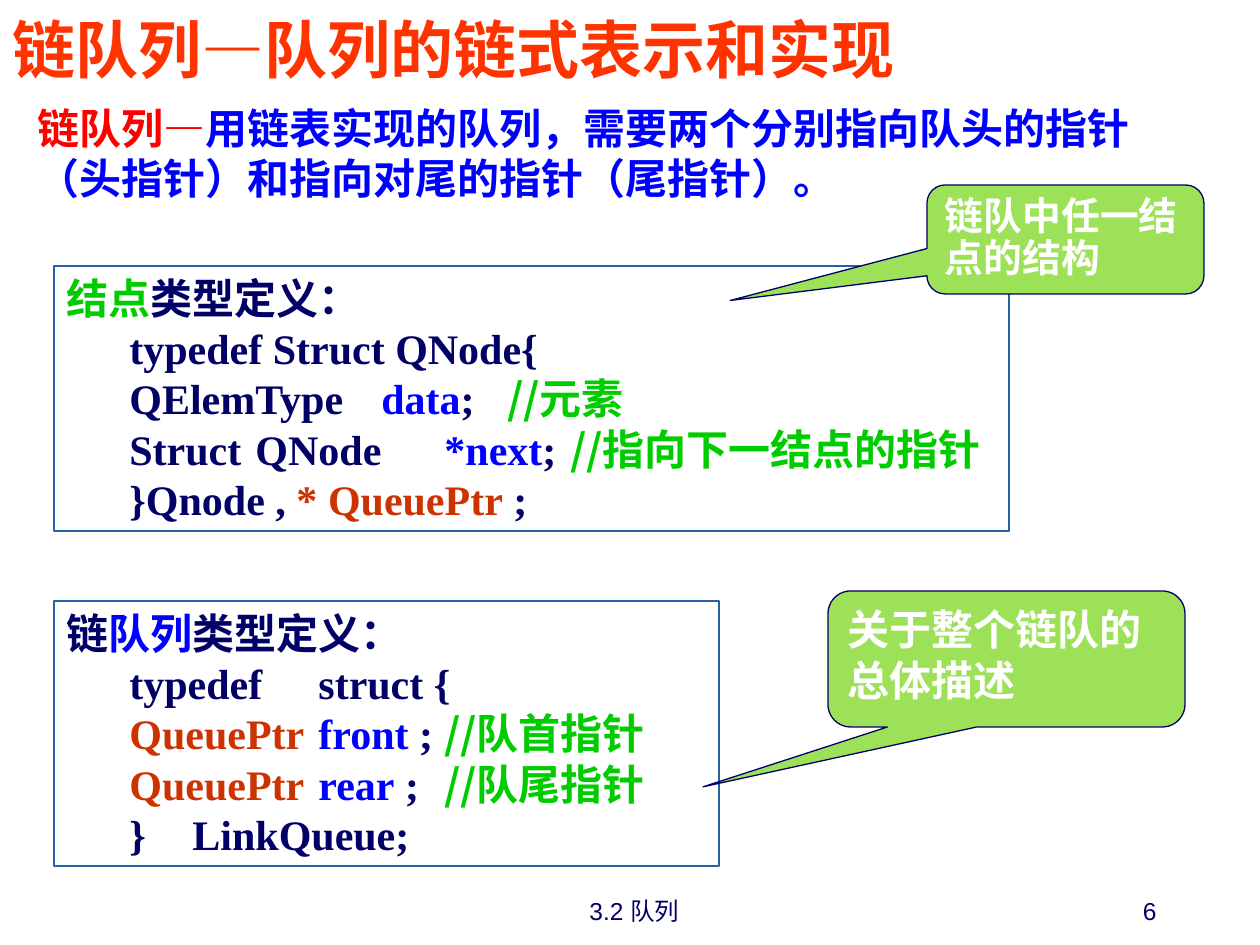
from lxml.etree import SubElement
from pptx import Presentation
from pptx.dml.color import RGBColor
from pptx.enum.shapes import MSO_SHAPE
from pptx.enum.text import MSO_ANCHOR, MSO_AUTO_SIZE, PP_ALIGN
from pptx.oxml.ns import qn
from pptx.util import Pt

PX = 914400 // 126  # EMU in one px
HUES = {
    "navy": "000066", "blue": "0000FF", "green": "00CC00", "rust": "CC3300",
    "red": "FF0000", "orange": "FF3300", "white": "FFFFFF",
    "lime": "9CE157", "edge": "2663A0",
}
SERIF, SANS, CJK = "Times New Roman", "Arial", "Noto Sans CJK SC"

# Code lines: tab stops in px, then runs of text and colour
NODE = [
    ([], [("结点", "green"), ("类型定义：", "navy")]),
    ([11], [("\ttypedef Struct QNode{", "navy")]),
    ([53, 361, 508], [("\tQElemType\t", "navy"), ("data", "blue"),
                      (";\t", "navy"), ("//元素", "green")]),
    ([53, 196, 354, 487], [("\tStruct\tQNode\t", "navy"), ("*next", "blue"),
                           (";\t", "navy"), ("//指向下一结点的指针", "green")]),
    ([32], [("\t}Qnode , ", "navy"), ("* QueuePtr", "rust"), (" ;", "navy")]),
]
QUEUE = [
    ([], [("链", "navy"), ("队列", "blue"), ("类型定义：", "navy")]),
    ([11, 164], [("\ttypedef\tstruct {", "navy")]),
    ([53, 280, 406], [("\tQueuePtr\t", "rust"), ("front", "blue"),
                      (" ;\t", "navy"), ("//队首指针", "green")]),
    ([53, 280, 402], [("\tQueuePtr\t", "rust"), ("rear", "blue"),
                      (" ;\t", "navy"), ("//队尾指针", "green")]),
    ([21, 59], [("\t}\tLinkQueue;", "navy")]),
]


def rgb(hue):
    return RGBColor.from_string(HUES[hue])


def place(shape, box):
    shape.left, shape.top, shape.width, shape.height = [n * PX for n in box]


def set_frame(frame, anchor=MSO_ANCHOR.TOP):
    frame.word_wrap = True
    frame.auto_size = MSO_AUTO_SIZE.NONE
    frame.vertical_anchor = anchor


def write(para, runs, size, name=CJK, bold=True, align=PP_ALIGN.LEFT,
          pitch=None, tabs=()):
    """Fill one paragraph with runs of (text, colour)."""
    para.alignment = align
    para.space_before = Pt(0)
    if pitch:
        para.line_spacing = Pt(pitch)
    # No bullet or indent, and the tab stops
    props = para._p.get_or_add_pPr()
    props.set("marL", "0")
    props.set("indent", "0")
    SubElement(props, qn("a:buNone"))
    if tabs:
        stops = SubElement(props, qn("a:tabLst"))
        for stop in tabs:
            SubElement(stops, qn("a:tab"), pos=str(stop * PX), algn="l")
    # Shared font, with an East Asian face
    font = para.font
    font.size, font.bold, font.name = Pt(size), bold, name
    SubElement(props.find(qn("a:defRPr")), qn("a:ea"), typeface=CJK)
    if len({hue for _, hue in runs}) == 1:
        font.color.rgb = rgb(runs[0][1])
    for text, hue in runs:
        run = para.add_run()
        run.text = text
        run.font.color.rgb = rgb(hue)
        if text.startswith("//"):
            run.font.name = CJK


def add_box(slide, kind, box, line, fill=None):
    shape = slide.shapes.add_shape(kind, *[n * PX for n in box])
    shape.shadow.inherit = False
    if fill:
        shape.fill.solid()
        shape.fill.fore_color.rgb = rgb(fill)
    else:
        shape.fill.background()
    shape.line.color.rgb = rgb(line)
    shape.line.width = Pt(0.75)
    set_frame(shape.text_frame)
    return shape


def add_code(slide, box, lines):
    frame = add_box(slide, MSO_SHAPE.RECTANGLE, box, "edge").text_frame
    for i, (tabs, runs) in enumerate(lines):
        para = frame.add_paragraph() if i else frame.paragraphs[0]
        write(para, runs, 24, SERIF, pitch=28.8, tabs=tabs)


def add_call(slide, box, tip, text, size, pitch):
    shape = add_box(slide, MSO_SHAPE.ROUNDED_RECTANGULAR_CALLOUT, box,
                    "navy", "lime")
    for i, value in enumerate((*tip, 0.167)):
        shape.adjustments[i] = value
    write(shape.text_frame.paragraphs[0], [(text, "white")], size, SERIF,
          pitch=pitch)


def add_foot(slide, box, text, align):
    shape = slide.shapes.add_textbox(*[n * PX for n in box])
    set_frame(shape.text_frame, MSO_ANCHOR.BOTTOM)
    write(shape.text_frame.paragraphs[0], [(text, "navy")], 14, SANS, False,
          align)


def fill_holder(shape, box, runs, size, anchor, pitch=None):
    place(shape, box)
    set_frame(shape.text_frame, anchor)
    write(shape.text_frame.paragraphs[0], runs, size, pitch=pitch)


def main():
    deck = Presentation()
    deck.slide_width, deck.slide_height = 1260 * PX, 945 * PX
    slide = deck.slides.add_slide(deck.slide_layouts[1])
    title, body = slide.placeholders

    # Title and definition
    fill_holder(title, (0, 0, 1027, 96),
                [("链队列—队列的链式表示和实现", "orange")], 36,
                MSO_ANCHOR.MIDDLE)
    fill_holder(body, (25, 96, 1131, 113),
                [("链队列—", "red"),
                 ("用链表实现的队列，需要两个分别指向队头的指针"
                  "（头指针）和指向对尾的指针（尾指针）。", "blue")],
                24, MSO_ANCHOR.TOP, 28.8)

    # Type definitions
    add_code(slide, (54, 601, 665, 265), QUEUE)
    add_code(slide, (54, 266, 955, 265), NODE)

    # Callouts
    add_call(slide, (828, 591, 357, 136), (-0.85, 0.94),
             "关于整个链队的总体描述", 24, 28.8)
    add_call(slide, (927, 185, 277, 109), (-1.21, 0.56),
             "链队中任一结点的结构", 22.2, 24)

    # Footer
    add_foot(slide, (907, 869, 262, 63), "6", PP_ALIGN.RIGHT)
    add_foot(slide, (435, 869, 399, 63), "3.2 队列", PP_ALIGN.CENTER)

    deck.save("out.pptx")


if __name__ == "__main__":
    main()
